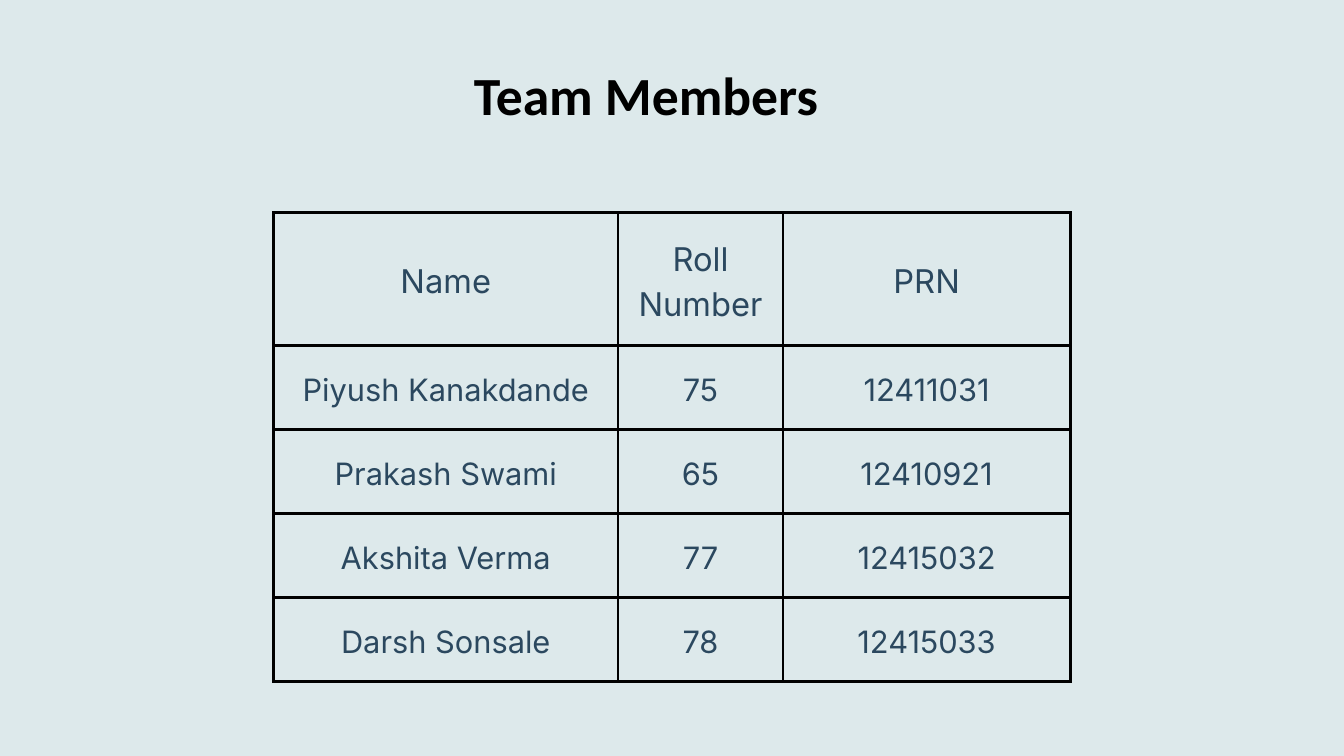
from lxml import etree
from pptx import Presentation
from pptx.dml.color import RGBColor
from pptx.enum import text
from pptx.oxml import ns
from pptx.util import Pt

COLORS = {"back": "DDE9EB", "ink": "2B485F", "black": "000000"}
HEADS = ["Name", "Roll Number", "PRN"]
MEMBERS = [
    ["Piyush Kanakdande", "75", "12411031"],
    ["Prakash Swami", "65", "12410921"],
    ["Akshita Verma", "77", "12415032"],
    ["Darsh Sonsale", "78", "12415033"],
]
COLS = [369.4, 176.4, 308.2]
HEAD_HIGH, ROW_HIGH = 142.6, 90
LEADING = 1.4


def color(name):
    return RGBColor.from_string(COLORS[name])


def write(frame, words, size, font, ink, leading, bold=False):
    frame.text = words
    frame.word_wrap = True
    para = frame.paragraphs[0]
    para.alignment = text.PP_ALIGN.CENTER
    para.line_spacing = Pt(leading)
    face = para.runs[0].font
    face.size, face.name, face.bold = Pt(size), font, bold
    face.color.rgb = color(ink)


def border(cell, width):
    """Draw a solid black line on all four sides of a cell."""
    props = cell._tc.get_or_add_tcPr()
    for side in ("lnL", "lnR", "lnT", "lnB"):
        line = etree.SubElement(props, ns.qn(f"a:{side}"), w=str(Pt(width)))
        fill = etree.SubElement(line, ns.qn("a:solidFill"))
        etree.SubElement(fill, ns.qn("a:srgbClr"), val=COLORS["black"])


def add_title(slide, left, top, width, height):
    frame = slide.shapes.add_textbox(Pt(left), Pt(top), Pt(width), Pt(height)).text_frame
    frame.margin_left = frame.margin_right = frame.margin_top = frame.margin_bottom = 0
    write(frame, "Team Members", 57.5, "Calibri", "black", 74.8, bold=True)


def add_roster(slide, left, top):
    rows = [HEADS] + MEMBERS
    highs = [HEAD_HIGH] + [ROW_HIGH] * len(MEMBERS)
    table = slide.shapes.add_table(
        len(rows), len(COLS), Pt(left), Pt(top), Pt(sum(COLS)), Pt(sum(highs))
    ).table
    table.first_row = table.horz_banding = False
    for col, width in zip(table.columns, COLS):
        col.width = Pt(width)
    for r, (words, high) in enumerate(zip(rows, highs)):
        table.rows[r].height = Pt(high)
        size = 33 if r else 35
        for c, word in enumerate(words):
            cell = table.cell(r, c)
            border(cell, 3)
            cell.fill.background()
            cell.vertical_anchor = text.MSO_ANCHOR.MIDDLE
            cell.margin_left = cell.margin_right = Pt(15)
            cell.margin_top = cell.margin_bottom = Pt(15)
            write(cell.text_frame, word, size, "Inter", "ink", size * LEADING)


def main():
    deck = Presentation()
    deck.slide_width, deck.slide_height = Pt(1440), Pt(810)
    slide = deck.slides.add_slide(deck.slide_layouts[6])
    slide.background.fill.solid()
    slide.background.fill.fore_color.rgb = color("back")
    add_roster(slide, 293, 227.5)
    add_title(slide, 478, 60.5, 428.4, 72.7)
    deck.save("out.pptx")


if __name__ == "__main__":
    main()
